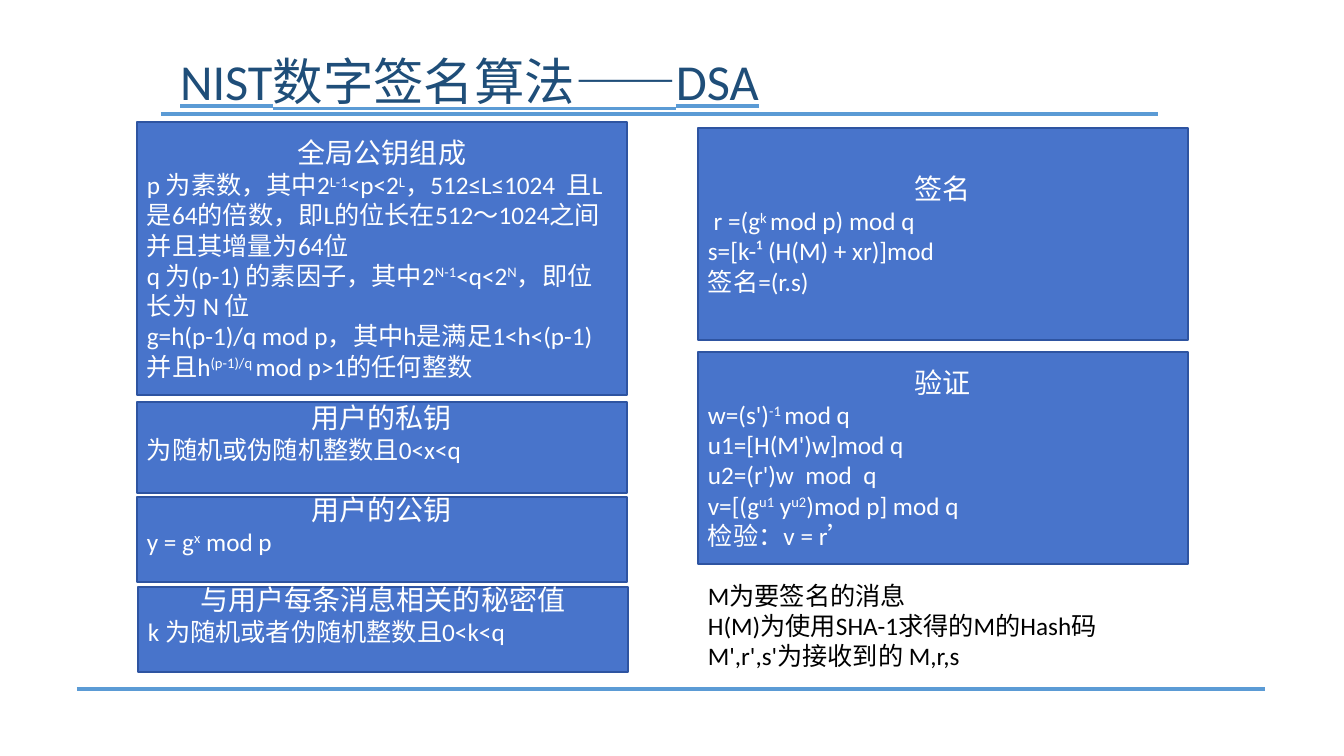
import pptx
import pptx.util
import pptx.dml.color
import pptx.enum.dml
import pptx.enum.shapes
import pptx.enum.text
import pptx.oxml
import pptx.oxml.ns
import lxml.etree

ANCHOR = pptx.enum.text.MSO_ANCHOR
ALIGN = pptx.enum.text.PP_ALIGN
RULE_BLUE = "5B9BD5"
BOX_WIDTH = 490
LINE_HEIGHT = 30

KEY_BOXES = [
    (137, 122, 273, 0, "全局公钥组成", [
        "p 为素数，其中2^L-1^<p<2^L^，512≤L≤1024  且L是64的倍数，即L的位长在512～1024之间 并且其增量为64位",
        "q 为(p-1) 的素因子，其中2^N-1^<q<2^N^，即位",
        "长为 N 位",
        "g=h(p-1)/q mod p，其中h是满足1<h<(p-1) 并且h^(p-1)/q ^mod p>1的任何整数",
    ]),
    (137, 402, 91, LINE_HEIGHT, "用户的私钥", ["为随机或伪随机整数且0<x<q"]),
    (137, 497, 85, LINE_HEIGHT, "用户的公钥", ["y = g^x^ mod p"]),
    (138, 587, 85, LINE_HEIGHT, "与用户每条消息相关的秘密值", ["k 为随机或者伪随机整数且0<k<q"]),
]
SIGNATURE_BOXES = [
    (698, 128, 212, 0, "签名", [
        " r =(g^k ^mod p) mod q",
        "s=[k-¹ (H(M) + xr)]mod",
        "签名=(r.s)",
    ]),
    (698, 352, 212, 0, "验证", [
        "w=(s')^-1 ^mod q",
        "u1=[H(M')w]mod q",
        "u2=(r')w  mod  q",
        "v=[(g^u1^ y^u2^)mod p] mod q",
        "检验：v = r’",
    ]),
]
SYMBOL_NOTES = ["M为要签名的消息", "H(M)为使用SHA-1求得的M的Hash码", "M',r',s'为接收到的 M,r,s"]


def px(length):
    return pptx.util.Emu(round(length * 914400 / 100.8))


def colour(hex_value):
    return pptx.dml.color.RGBColor.from_string(hex_value)


def write_line(paragraph, text, size, ink, align=ALIGN.LEFT):
    paragraph.alignment = align
    paragraph.font.name = "Calibri"
    paragraph.font.size = pptx.util.Pt(size)
    paragraph.font.color.rgb = colour(ink)
    for index, part in enumerate(text.split("^")):
        if part:
            run = paragraph.add_run()
            run.text = part
            if index % 2:
                run._r.get_or_add_rPr().set("baseline", "30000")


def add_rule(slide, left, right, y):
    rule = slide.shapes.add_connector(
        pptx.enum.shapes.MSO_CONNECTOR.STRAIGHT, px(left), px(y), px(right), px(y))
    rule.line.color.rgb = colour(RULE_BLUE)
    rule.line.width = pptx.util.Pt(2.28)
    lxml.etree.SubElement(rule._element.spPr, pptx.oxml.ns.qn("a:effectLst"))


def add_heading(slide, left, top, width, height):
    heading = slide.shapes.title
    heading.left, heading.top, heading.width, heading.height = map(px, (left, top, width, height))
    frame = heading.text_frame
    frame.margin_left = frame.margin_top = frame.margin_right = frame.margin_bottom = 0
    frame.vertical_anchor = ANCHOR.TOP
    frame.auto_size = pptx.enum.text.MSO_AUTO_SIZE.NONE
    frame.word_wrap = True
    paragraph = frame.paragraphs[0]
    paragraph.line_spacing = 0.95
    write_line(paragraph, "NIST数字签名算法——DSA", 36, "1F4E79")
    run = paragraph.runs[0]
    run.font.underline = True
    underline = lxml.etree.SubElement(run._r.get_or_add_rPr(), pptx.oxml.ns.qn("a:uFill"))
    solid = lxml.etree.SubElement(underline, pptx.oxml.ns.qn("a:solidFill"))
    lxml.etree.SubElement(solid, pptx.oxml.ns.qn("a:srgbClr")).set("val", RULE_BLUE)


def add_formula_box(slide, left, top, height, room_below, caption, formulas):
    box = slide.shapes.add_shape(
        pptx.enum.shapes.MSO_SHAPE.RECTANGLE, px(left), px(top), px(BOX_WIDTH), px(height))
    box.shadow.inherit = False
    box.fill.solid()
    box.fill.fore_color.rgb = colour("4874CB")
    box.line.color.rgb = colour("2E54A1")
    box.line.width = pptx.util.Pt(1)
    frame = box.text_frame
    frame.word_wrap = True
    frame.vertical_anchor = ANCHOR.MIDDLE
    frame.margin_bottom = px(5 + room_below)
    write_line(frame.paragraphs[0], caption, 20, "FFFFFF", ALIGN.CENTER)
    for formula in formulas:
        write_line(frame.add_paragraph(), formula, 18, "FFFFFF")


def add_symbol_notes(slide, left, top, width, height):
    frame = slide.shapes.add_textbox(px(left), px(top), px(width), px(height)).text_frame
    frame.word_wrap = True
    for index, note in enumerate(SYMBOL_NOTES):
        paragraph = frame.add_paragraph() if index else frame.paragraphs[0]
        write_line(paragraph, note, 18, "000000")


def main():
    deck = pptx.Presentation()
    deck.slide_width, deck.slide_height = px(1344), px(756)
    slide = deck.slides.add_slide(deck.slide_layouts[5])
    add_rule(slide, 77, 1265, 689)
    add_rule(slide, 161, 1158, 114)
    add_heading(slide, 180, 55, 980, 62)
    for box in KEY_BOXES + SIGNATURE_BOXES:
        add_formula_box(slide, *box)
    add_symbol_notes(slide, 698, 575, 506, 102)
    deck.save("out.pptx")


if __name__ == "__main__":
    main()
